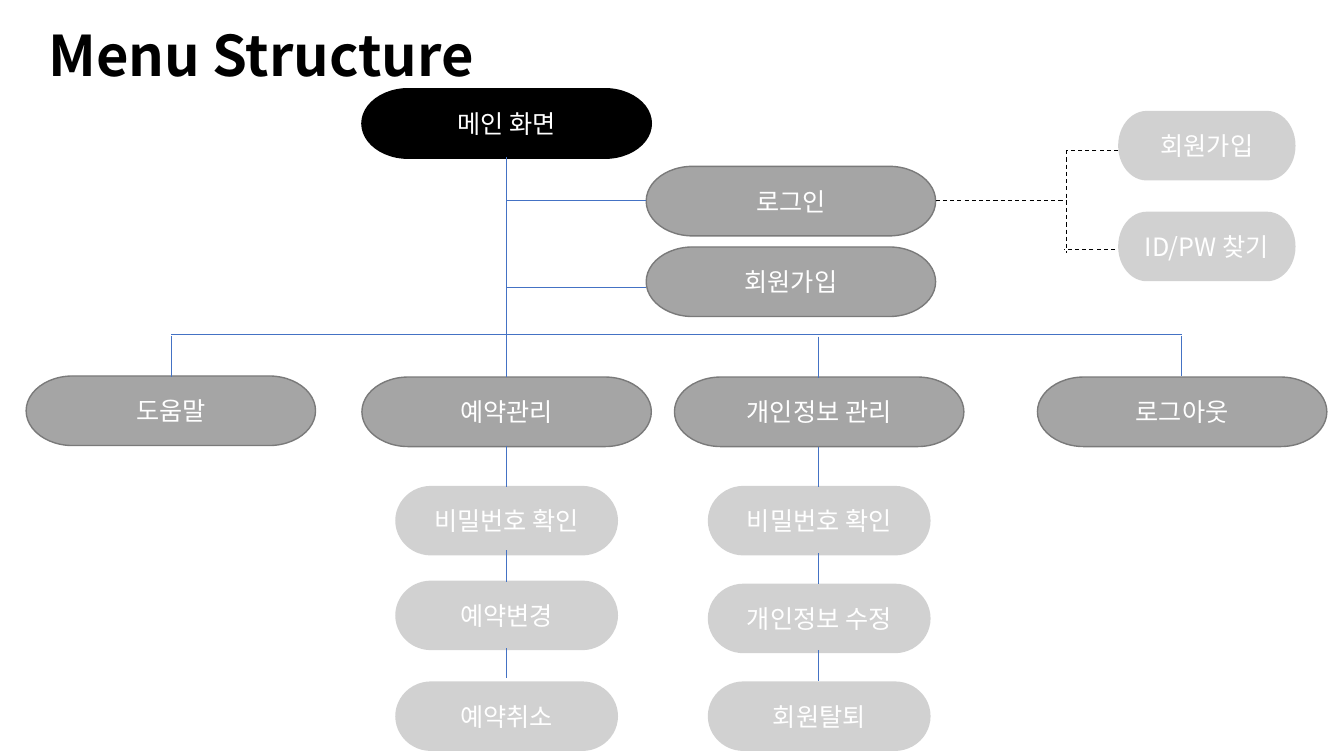
from dataclasses import dataclass

from lxml import etree
from pptx import Presentation
from pptx import util as u
from pptx.dml.color import RGBColor
from pptx.enum import dml, shapes, text
from pptx.oxml import ns

EMU_PER_PX = 9144
FONT_NAME = "Noto Sans CJK KR"
PILL_HEIGHT = 69
BLUE, BLACK, WHITE, GRAY, DARK_GRAY = "4472C4", "000000", "FFFFFF", "A5A5A5", "7A7A7A"
LABEL_FONT = {"name": FONT_NAME, "size": u.Pt(18), "bold": False}
TITLE_FONT = {"name": FONT_NAME, "size": u.Pt(40), "bold": True}
LABEL_FRAME = {"word_wrap": True, "vertical_anchor": text.MSO_ANCHOR.MIDDLE}
TITLE_FRAME = {
    "word_wrap": False,
    "vertical_anchor": text.MSO_ANCHOR.TOP,
    "auto_size": text.MSO_AUTO_SIZE.SHAPE_TO_FIT_TEXT,
}


@dataclass(frozen=True)
class PillStyle:
    width: int
    fill: str
    outline: str | None = None
    opacity: int = 100


@dataclass(frozen=True)
class Pill:
    label: str
    left: int
    top: int
    style: PillStyle


@dataclass(frozen=True)
class LineStyle:
    color: str
    width: float
    dash: dml.MSO_LINE | None = None


@dataclass(frozen=True)
class Link:
    x1: int
    y1: int
    x2: int
    y2: int
    style: LineStyle


ROOT = PillStyle(287, BLACK, BLACK)
MENU = PillStyle(287, GRAY, DARK_GRAY)
SUBMENU = PillStyle(221, GRAY, opacity=50)
OPTION = PillStyle(176, GRAY, opacity=50)
SOLID = LineStyle(BLUE, 0.5)
DASHED = LineStyle(BLACK, 0.75, dml.MSO_LINE.DASH)

PILLS = [
    Pill("메인 화면", 359, 88, ROOT),
    Pill("로그인", 641, 165, MENU),
    Pill("회원가입", 641, 245, MENU),
    Pill("회원가입", 1109, 110, OPTION),
    Pill("ID/PW 찾기", 1109, 210, OPTION),
    Pill("도움말", 26, 373, MENU),
    Pill("예약관리", 359, 374, MENU),
    Pill("개인정보 관리", 669, 374, MENU),
    Pill("로그아웃", 1029, 374, MENU),
    Pill("비밀번호 확인", 392, 482, SUBMENU),
    Pill("예약변경", 392, 576, SUBMENU),
    Pill("예약취소", 392, 676, SUBMENU),
    Pill("비밀번호 확인", 702, 482, SUBMENU),
    Pill("개인정보 수정", 702, 579, SUBMENU),
    Pill("회원탈퇴", 702, 676, SUBMENU),
]

STEMS = {
    170: [(333, 374)],
    502: [(156, 345), (333, 374), (442, 483), (546, 577), (643, 673)],
    812: [(334, 375), (443, 483), (549, 579), (645, 676)],
    1172: [(333, 373)],
}
LINKS = [Link(x, top, x, bottom, SOLID) for x, spans in STEMS.items() for top, bottom in spans]
LINKS += [Link(502, y, 641, y, SOLID) for y in (199, 285)]
LINKS += [
    Link(170, 332, 1172, 332, SOLID),
    Link(928, 199, 1058, 199, DASHED),
    Link(1058, 149, 1058, 251, DASHED),
    Link(1109, 149, 1058, 149, DASHED),
    Link(1106, 248, 1055, 248, DASHED),
]


def px(value: int) -> u.Emu:
    return u.Emu(value * EMU_PER_PX)


def color(value: str) -> RGBColor:
    return RGBColor.from_string(value)


def apply_format(target: object, values: dict) -> None:
    for name, value in values.items():
        setattr(target, name, value)


def write_text(frame, label: str, font: dict, font_color: str, alignment) -> None:
    paragraph = frame.paragraphs[0]
    paragraph.alignment = alignment
    run = paragraph.add_run()
    run.text = label
    apply_format(run.font, font)
    run.font.color.rgb = color(font_color)
    properties = run._r.get_or_add_rPr()
    etree.SubElement(properties, ns.qn("a:ea"), typeface=FONT_NAME)


def draw_title(slide, label: str) -> None:
    title = slide.shapes.title
    bounds = {"left": px(38), "top": px(15), "width": px(444), "height": px(77)}
    apply_format(title, bounds)
    apply_format(title.text_frame, TITLE_FRAME)
    write_text(title.text_frame, label, TITLE_FONT, BLACK, text.PP_ALIGN.LEFT)


def draw_pill(slide, pill: Pill) -> None:
    style = pill.style
    shape = slide.shapes.add_shape(
        shapes.MSO_SHAPE.FLOWCHART_TERMINATOR,
        px(pill.left), px(pill.top), px(style.width), px(PILL_HEIGHT),
    )
    shape.shadow.inherit = False
    shape.fill.solid()
    shape.fill.fore_color.rgb = color(style.fill)
    if style.opacity < 100:
        fill_color = shape._element.spPr.find(ns.qn("a:solidFill"))[0]
        etree.SubElement(fill_color, ns.qn("a:alpha"), val=str(style.opacity * 1000))
    if style.outline:
        shape.line.color.rgb = color(style.outline)
        shape.line.width = u.Pt(1)
    else:
        shape.line.fill.background()
    apply_format(shape.text_frame, LABEL_FRAME)
    write_text(shape.text_frame, pill.label, LABEL_FONT, WHITE, text.PP_ALIGN.CENTER)


def draw_link(slide, link: Link) -> None:
    connector = slide.shapes.add_connector(
        shapes.MSO_CONNECTOR.STRAIGHT, px(link.x1), px(link.y1), px(link.x2), px(link.y2)
    )
    connector.line.color.rgb = color(link.style.color)
    connector.line.width = u.Pt(link.style.width)
    if link.style.dash:
        connector.line.dash_style = link.style.dash
    etree.SubElement(connector._element.spPr, ns.qn("a:effectLst"))


def main() -> None:
    presentation = Presentation()
    presentation.slide_width = px(1333)
    presentation.slide_height = px(750)
    slide = presentation.slides.add_slide(presentation.slide_layouts.get_by_name("Title Only"))
    draw_title(slide, "Menu Structure")
    for pill in PILLS:
        draw_pill(slide, pill)
    for link in LINKS:
        draw_link(slide, link)
    presentation.save("out.pptx")


if __name__ == "__main__":
    main()
